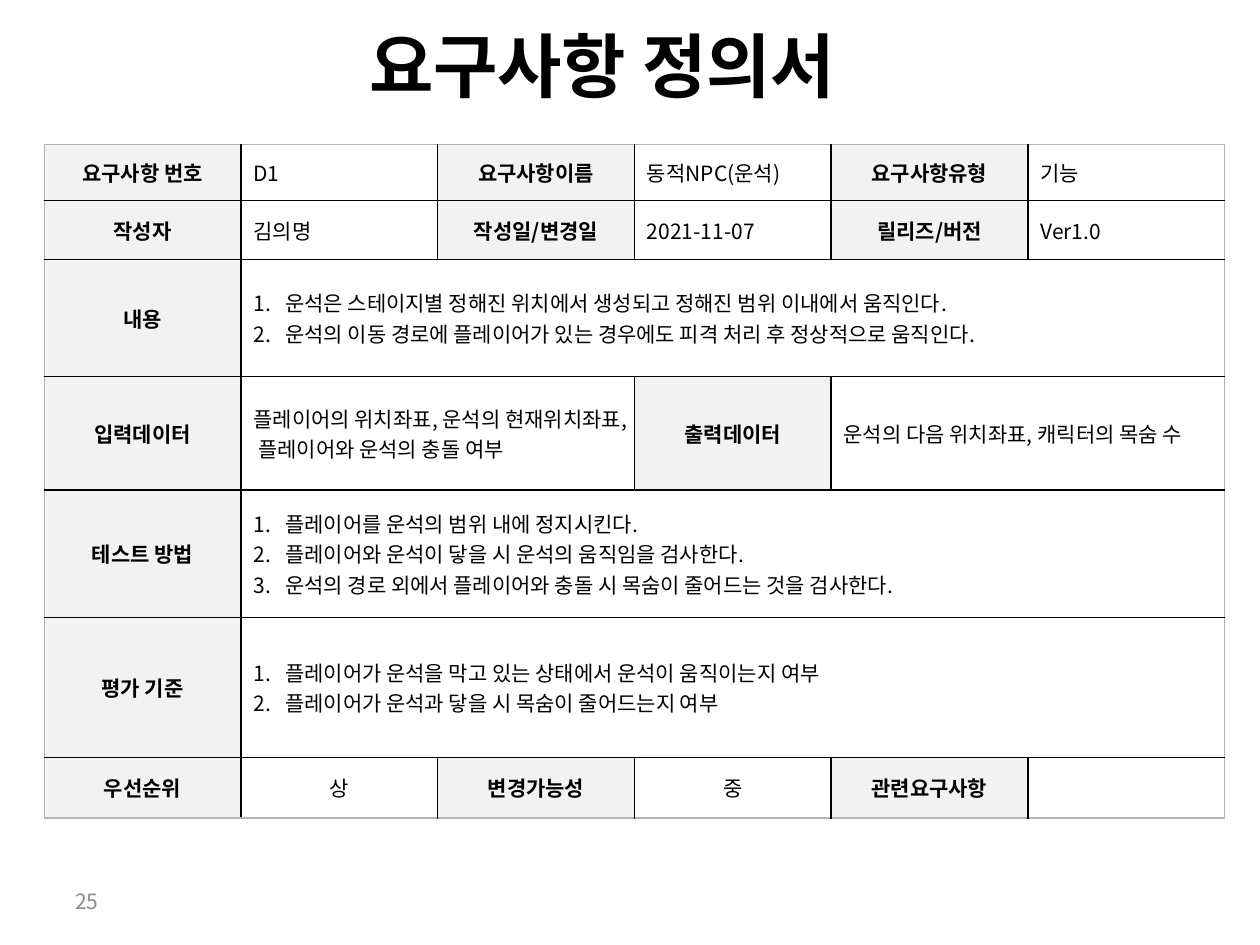
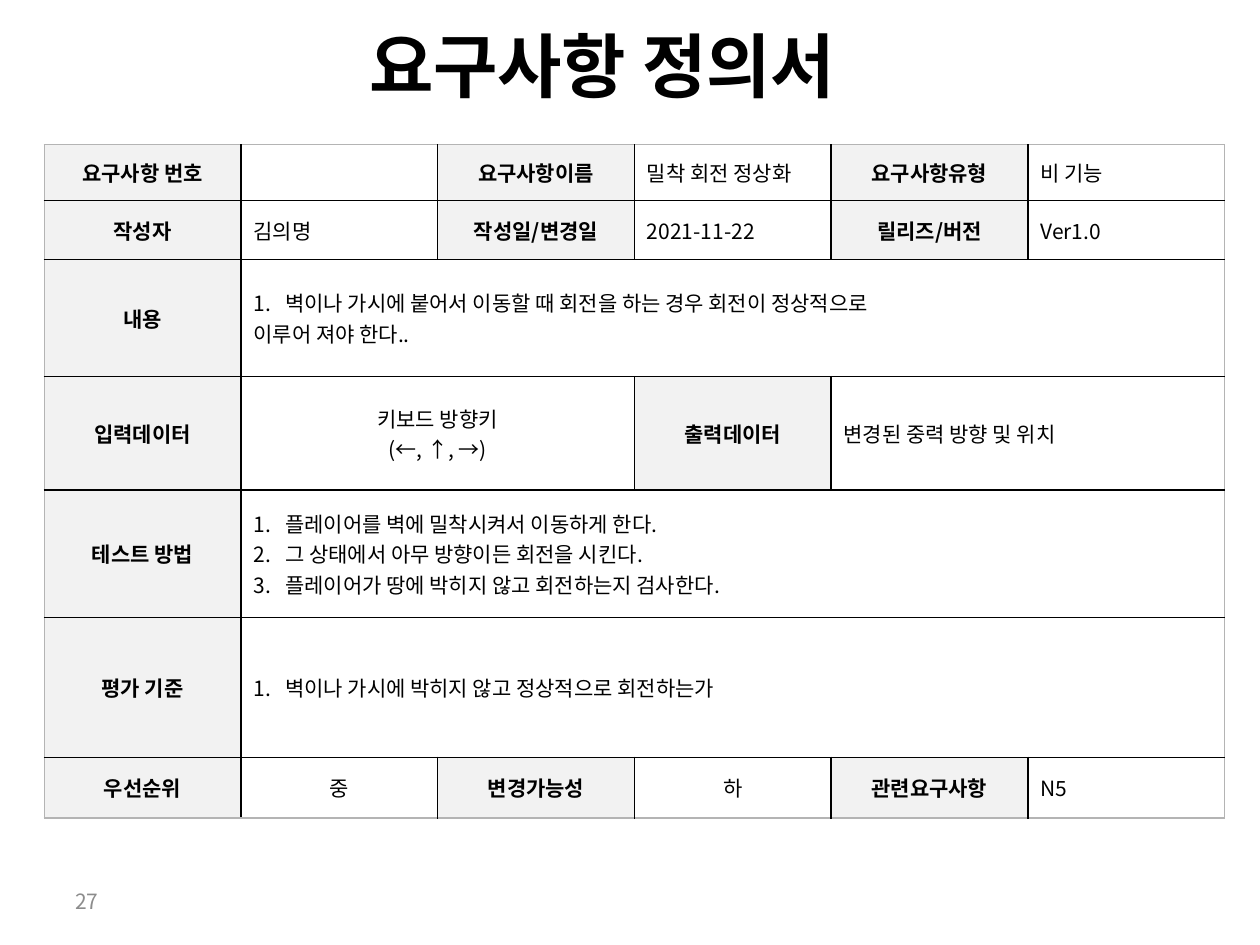
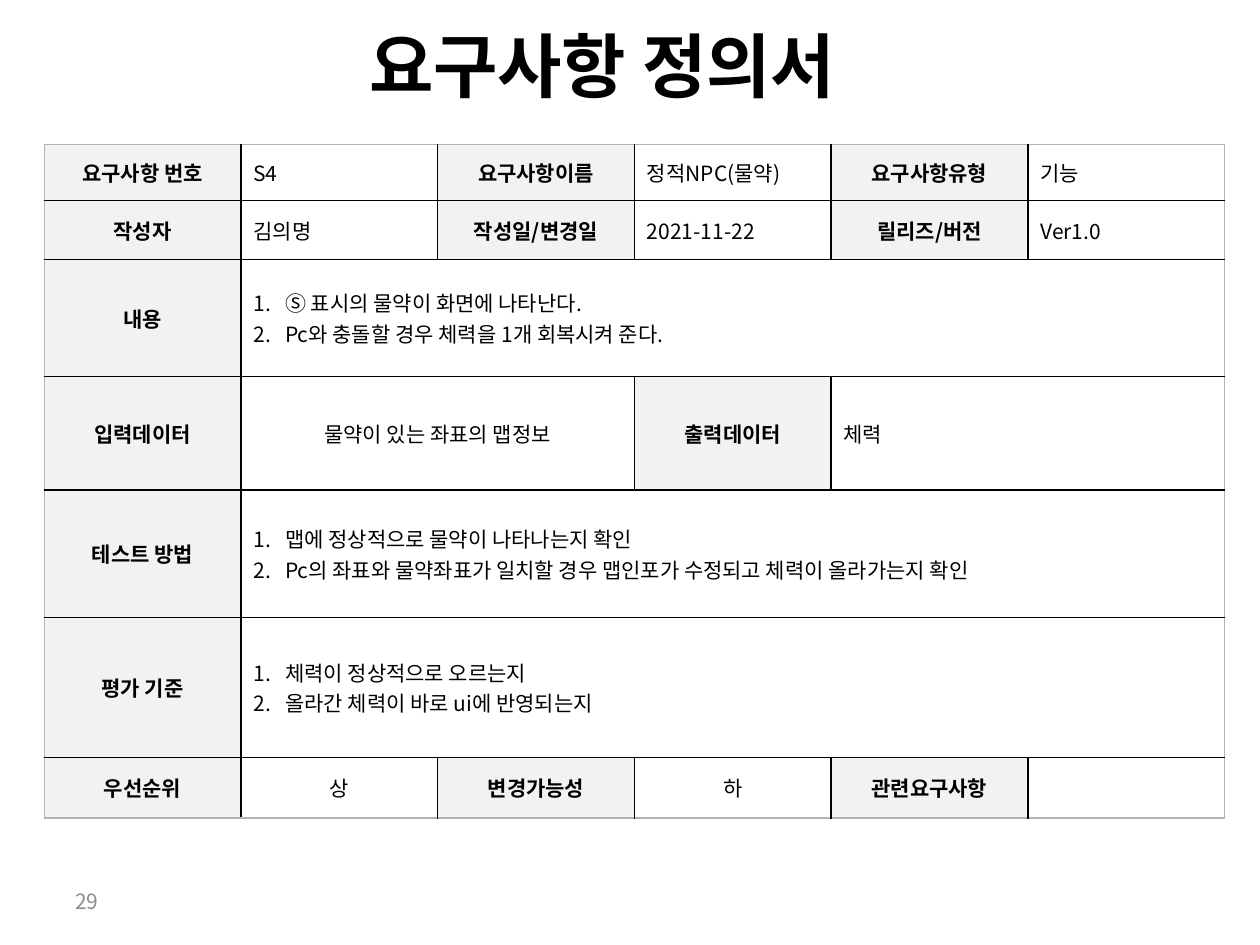
from lxml import etree
from pptx import Presentation
from pptx.dml.color import RGBColor
from pptx.enum.text import MSO_ANCHOR, PP_ALIGN
from pptx.oxml.ns import qn
from pptx.util import Cm, Pt

LEFT, CENTER = PP_ALIGN.LEFT, PP_ALIGN.CENTER
TOP, MIDDLE = MSO_ANCHOR.TOP, MSO_ANCHOR.MIDDLE

BLACK = RGBColor(0x00, 0x00, 0x00)
GRAY = RGBColor(0x8C, 0x8C, 0x8C)
EDGE = RGBColor(0xB4, 0xB4, 0xB4)
PALE = RGBColor(0xF2, 0xF2, 0xF2)
FACE = "Noto Sans CJK KR"

HEAD = {"size": Pt(40), "bold": True, "color": BLACK}
LABEL = {"size": Pt(12), "bold": True, "color": BLACK}
BODY = {"size": Pt(12), "bold": False, "color": BLACK}
FOOT = {"size": Pt(12), "bold": False, "color": GRAY}

TITLE = "요구사항 정의서"
TITLE_BOX = (Cm(7.19), Cm(0.33), Cm(11), Cm(1.96))
TABLE_BOX = (Cm(0.89), Cm(2.92), Cm(23.8), Cm(13.59))
PAGE_BOX = (Cm(1.27), Cm(17.65), Cm(5.92), Cm(1.02))

COLS = 6
HANG = Cm(0.64)
ROWS = [
    (1.12, ["요구사항 번호", "요구사항이름", "요구사항유형"]),
    (1.19, ["작성자", "작성일/변경일", "릴리즈/버전"]),
    (2.36, ["내용"]),
    (2.29, ["입력데이터", "출력데이터"]),
    (2.57, ["테스트 방법"]),
    (2.82, ["평가 기준"]),
    (1.22, ["우선순위", "변경가능성", "관련요구사항"]),
]


def left(*lines):
    return [(line, LEFT, False) for line in lines]


def mid(*lines):
    return [(line, CENTER, False) for line in lines]


def num(*lines):
    return [(line, LEFT, True) for line in lines]


SHEETS = [
    ("25", [
        [left("D1"), left("동적NPC(운석)"), left("기능")],
        [left("김의명"), left("2021-11-07"), left("Ver1.0")],
        [num("운석은 스테이지별 정해진 위치에서 생성되고 정해진 범위 이내에서 움직인다.",
             "운석의 이동 경로에 플레이어가 있는 경우에도 피격 처리 후 정상적으로 움직인다.")],
        [left("플레이어의 위치좌표, 운석의 현재위치좌표, 플레이어와 운석의 충돌 여부"),
         left("운석의 다음 위치좌표, 캐릭터의 목숨 수")],
        [num("플레이어를 운석의 범위 내에 정지시킨다.",
             "플레이어와 운석이 닿을 시 운석의 움직임을 검사한다.",
             "운석의 경로 외에서 플레이어와 충돌 시 목숨이 줄어드는 것을 검사한다.")],
        [num("플레이어가 운석을 막고 있는 상태에서 운석이 움직이는지 여부",
             "플레이어가 운석과 닿을 시 목숨이 줄어드는지 여부")],
        [mid("상"), mid("중"), left("")],
    ]),
    ("27", [
        [left(""), left("밀착 회전 정상화"), left("비 기능")],
        [left("김의명"), left("2021-11-22"), left("Ver1.0")],
        [num("벽이나 가시에 붙어서 이동할 때 회전을 하는 경우 회전이 정상적으로")
         + left("이루어 져야 한다..")],
        [mid("키보드 방향키", "(←, ↑, →)"), left("변경된 중력 방향 및 위치")],
        [num("플레이어를 벽에 밀착시켜서 이동하게 한다.",
             "그 상태에서 아무 방향이든 회전을 시킨다.",
             "플레이어가 땅에 박히지 않고 회전하는지 검사한다.")],
        [num("벽이나 가시에 박히지 않고 정상적으로 회전하는가")],
        [mid("중"), mid("하"), left("N5")],
    ]),
    ("29", [
        [left("S4"), left("정적NPC(물약)"), left("기능")],
        [left("김의명"), left("2021-11-22"), left("Ver1.0")],
        [num("Ⓢ 표시의 물약이 화면에 나타난다.",
             "Pc와 충돌할 경우 체력을 1개 회복시켜 준다.")],
        [mid("물약이 있는 좌표의 맵정보"), left("체력")],
        [num("맵에 정상적으로 물약이 나타나는지 확인",
             "Pc의 좌표와 물약좌표가 일치할 경우 맵인포가 수정되고 체력이 올라가는지 확인")],
        [num("체력이 정상적으로 오르는지",
             "올라간 체력이 바로 ui에 반영되는지")],
        [mid("상"), mid("하"), left("")],
    ]),
]


def style(font, form):
    font.name = FACE
    for key, value in form.items():
        if key == "color":
            font.color.rgb = value
        else:
            setattr(font, key, value)


def write(frame, lines, form):
    """Fill a text frame with (text, alignment, numbered) lines."""
    for i, (text, align, numbered) in enumerate(lines):
        para = frame.add_paragraph() if i else frame.paragraphs[0]
        para.alignment = align
        if numbered:
            props = para._p.get_or_add_pPr()
            props.set("marL", str(HANG))
            props.set("indent", str(-HANG))
            etree.SubElement(props, qn("a:buAutoNum"), type="arabicPeriod")
        if text:
            run = para.add_run()
            run.text = text
            style(run.font, form)
            etree.SubElement(run._r.get_or_add_rPr(), qn("a:ea"), typeface=FACE)
        else:
            end = etree.SubElement(para._p, qn("a:endParaRPr"))
            end.set("sz", str(form["size"].centipoints))


def add_text(slide, box, text, form, anchor):
    frame = slide.shapes.add_textbox(*box).text_frame
    frame.word_wrap = True
    frame.vertical_anchor = anchor
    write(frame, left(text), form)


def frame_cell(cell, outer):
    """Draw the four borders; outer holds the sides on the table's rim."""
    props = cell._tc.get_or_add_tcPr()
    for side in "LRTB":
        rim = side in outer
        line = etree.SubElement(props, qn("a:ln" + side),
                                w=str(Pt(0.75 if rim else 1)))
        fill = etree.SubElement(line, qn("a:solidFill"))
        etree.SubElement(fill, qn("a:srgbClr"), val=str(EDGE if rim else BLACK))


def fill_cell(table, row, col, span, lines, form, shade=None):
    cell = table.cell(row, col)
    if span > 1:
        cell.merge(table.cell(row, col + span - 1))
    rim = {"L": col == 0, "R": col + span == COLS,
           "T": row == 0, "B": row == len(ROWS) - 1}
    frame_cell(cell, [side for side, on in rim.items() if on])
    if shade is None:
        cell.fill.background()
    else:
        cell.fill.solid()
        cell.fill.fore_color.rgb = shade
    cell.vertical_anchor = MIDDLE
    write(cell.text_frame, lines, form)


def add_form(slide, box, values):
    """Each row shares the columns equally among its label and value pairs."""
    table = slide.shapes.add_table(len(ROWS), COLS, *box).table
    table.first_row = table.horz_banding = False
    for col in table.columns:
        col.width = box[2] // COLS
    for row, ((height, labels), cells) in enumerate(zip(ROWS, values)):
        table.rows[row].height = Cm(height)
        step = COLS // len(labels)
        for i, (label, lines) in enumerate(zip(labels, cells)):
            fill_cell(table, row, i * step, 1, mid(label), LABEL, PALE)
            fill_cell(table, row, i * step + 1, step - 1, lines, BODY)


def main():
    deck = Presentation()
    deck.slide_width, deck.slide_height = Cm(25.4), Cm(19.05)
    for page, values in SHEETS:
        slide = deck.slides.add_slide(deck.slide_layouts[6])
        add_form(slide, TABLE_BOX, values)
        add_text(slide, TITLE_BOX, TITLE, HEAD, TOP)
        add_text(slide, PAGE_BOX, page, FOOT, MIDDLE)
    deck.save("out.pptx")


if __name__ == "__main__":
    main()
